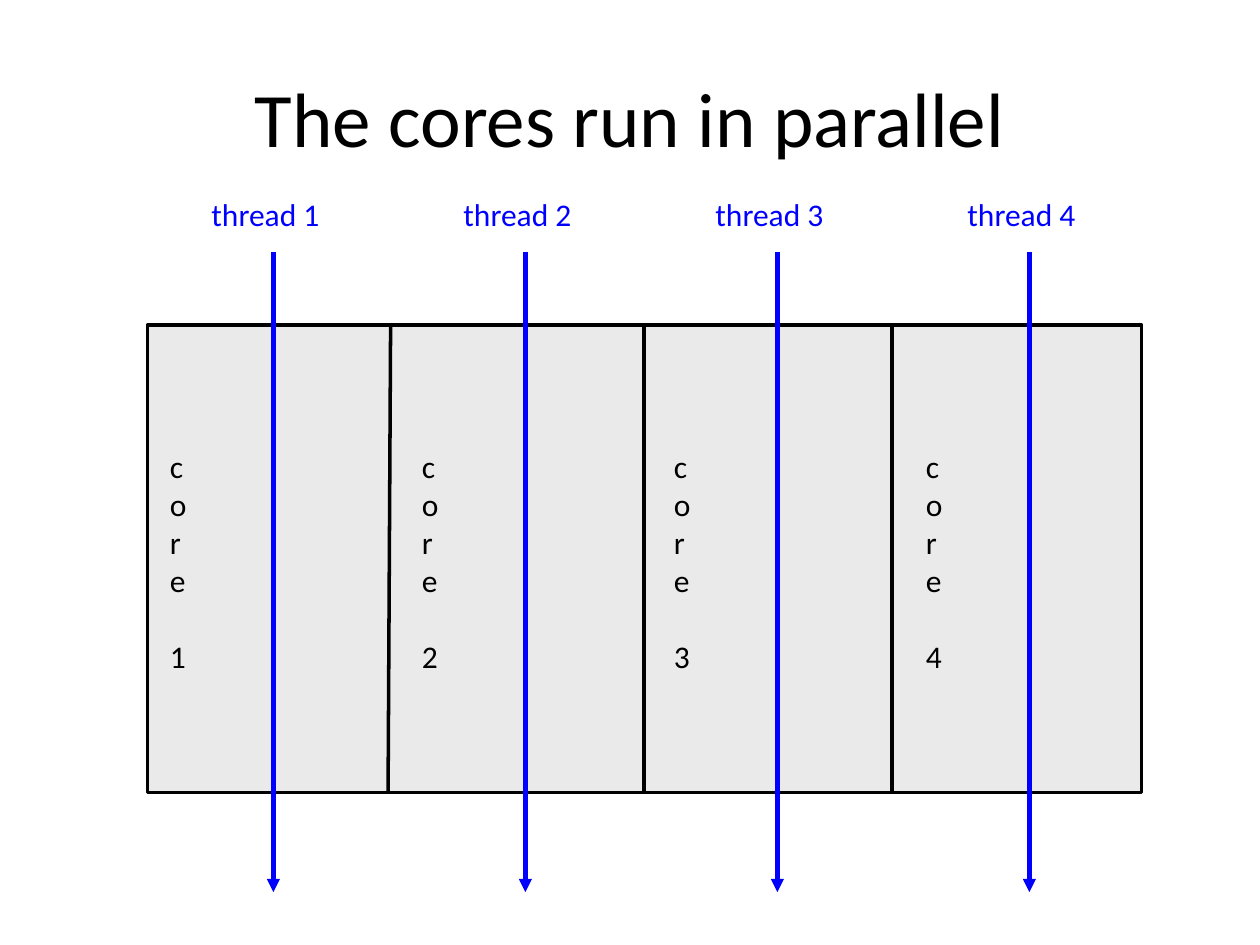
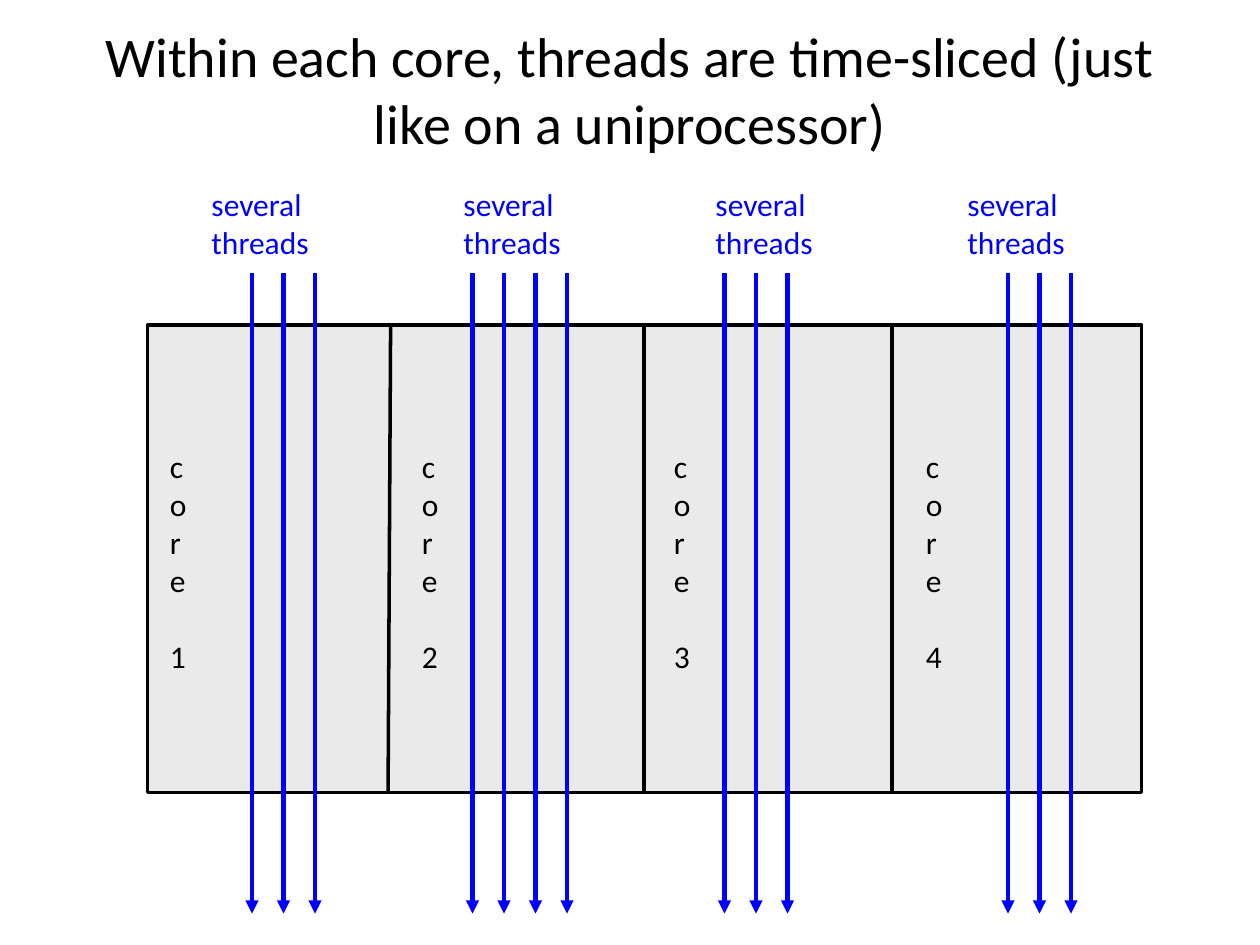
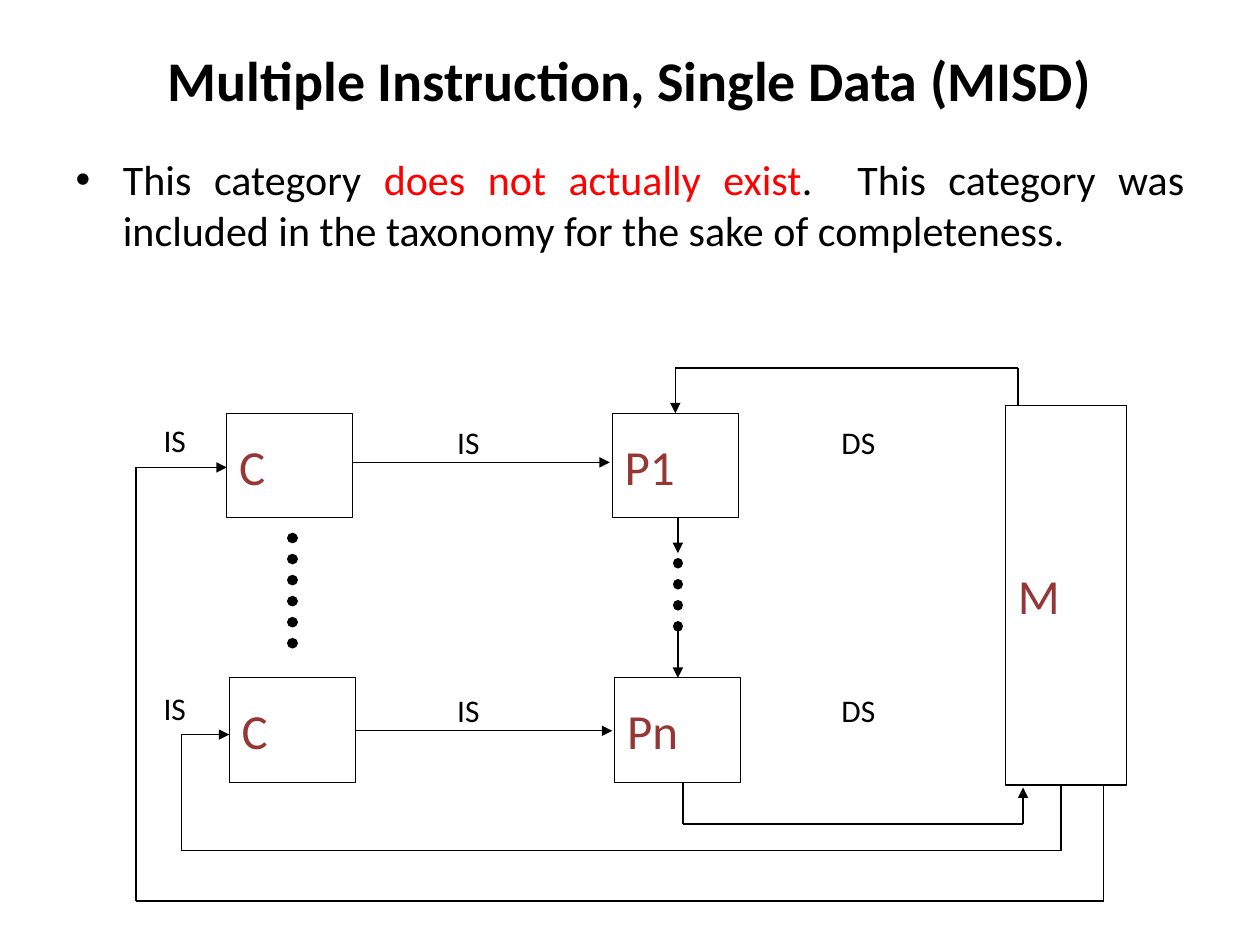
from dataclasses import dataclass
from itertools import pairwise

from lxml.etree import SubElement
from pptx import Presentation
from pptx.dml.color import RGBColor
from pptx.enum.dml import MSO_LINE
from pptx.enum.shapes import MSO_CONNECTOR, MSO_SHAPE
from pptx.enum.text import MSO_ANCHOR, MSO_AUTO_SIZE, PP_ALIGN
from pptx.oxml.ns import qn
from pptx.util import Inches, Pt

BLACK = RGBColor(0x00, 0x00, 0x00)
WHITE = RGBColor(0xFF, 0xFF, 0xFF)
GREY = RGBColor(0xEA, 0xEA, 0xEA)
BLUE = RGBColor(0x00, 0x00, 0xFF)
RED = RGBColor(0xFF, 0x00, 0x00)
BROWN = RGBColor(0x95, 0x37, 0x35)
FONT = "Calibri"

CORES = 4
PITCH = 2.0  # distance from core to core
TOP, BASE = 2.58, 6.29  # edges of the chip

Point = tuple[float, float]


@dataclass(frozen=True)
class Pen:
    color: RGBColor = BLACK
    width: float = 0.75
    arrow: bool = False
    dots: bool = False


@dataclass(frozen=True)
class Box:
    left: float
    top: float
    width: float
    height: float


@dataclass(frozen=True)
class Unit:
    name: str
    box: Box


@dataclass(frozen=True)
class Route:
    points: tuple[Point, ...]
    arrow: bool = True


@dataclass(frozen=True)
class Bundle:
    """Threads that share one core."""
    start: float
    count: int


THIN = Pen()
EDGE = Pen(width=2)
THREAD = Pen(BLUE, 2.5, arrow=True)
DOTS = Pen(width=6, dots=True)

BUNDLES = (Bundle(2, 3), Bundle(3.75, 4), Bundle(5.75, 3), Bundle(8, 3))

UNITS = (
    Unit("C", Box(1.8, 3.28, 1, 0.83)),
    Unit("C", Box(1.82, 5.38, 1, 0.83)),
    Unit("P1", Box(4.86, 3.28, 1, 0.83)),
    Unit("Pn", Box(4.88, 5.38, 1, 0.83)),
    Unit("M", Box(7.98, 3.22, 0.96, 3.01)),
)

ROUTES = (
    Route(((2.8, 3.67), (4.84, 3.67))),
    Route(((2.82, 5.8), (4.86, 5.8))),
    Route(((8.08, 3.22), (8.08, 2.92), (5.36, 2.92), (5.36, 3.28))),
    Route(((5.42, 6.21), (5.42, 6.54), (8.12, 6.54), (8.12, 6.25))),
    Route(((8.42, 6.23), (8.42, 6.75), (1.44, 6.75), (1.44, 5.83), (1.82, 5.83))),
    Route(((8.76, 6.23), (8.76, 7.15), (1.08, 7.15), (1.08, 3.71), (1.8, 3.71))),
    Route(((5.38, 4.11), (5.38, 4.39))),
    Route(((5.38, 4.99), (5.38, 5.38))),
)

STREAMS = (
    Unit("IS", Box(1.2, 3.28, 0.49, 0.43)),
    Unit("IS", Box(1.2, 5.4, 0.49, 0.43)),
    Unit("IS", Box(3.53, 3.29, 0.49, 0.43)),
    Unit("IS", Box(3.53, 5.42, 0.49, 0.43)),
    Unit("DS", Box(6.58, 3.29, 0.64, 0.43)),
    Unit("DS", Box(6.58, 5.42, 0.64, 0.43)),
)


def inches(box: Box) -> tuple:
    return tuple(Inches(n) for n in (box.left, box.top, box.width, box.height))


def place(shape, box: Box) -> None:
    shape.left, shape.top, shape.width, shape.height = inches(box)


def write(para, text: str, size: float, color=BLACK, bold=False) -> None:
    run = para.add_run()
    run.text = text
    font = run.font
    font.name, font.size, font.bold = FONT, Pt(size), bold
    font.color.rgb = color


def new_slide(deck, layout: int, title: str, top: float, size: float, bold=False):
    slide = deck.slides.add_slide(deck.slide_layouts[layout])
    head = slide.shapes.title
    place(head, Box(0.5, top, 9, 1.25))
    frame = head.text_frame
    frame.vertical_anchor = MSO_ANCHOR.MIDDLE
    frame.auto_size = MSO_AUTO_SIZE.NONE
    para = frame.paragraphs[0]
    para.alignment = PP_ALIGN.CENTER
    write(para, title, size, bold=bold)
    return slide


def draw_line(slide, start: Point, end: Point, pen: Pen) -> None:
    ends = [Inches(n) for n in (*start, *end)]
    line = slide.shapes.add_connector(MSO_CONNECTOR.STRAIGHT, *ends)
    line.line.color.rgb = pen.color
    line.line.width = Pt(pen.width)
    props = line.element.spPr
    stroke = props.find(qn("a:ln"))
    if pen.dots:
        line.line.dash_style = MSO_LINE.ROUND_DOT
        stroke.set("cap", "rnd")
    if pen.arrow:
        SubElement(stroke, qn("a:tailEnd"), type="triangle")
    SubElement(props, qn("a:effectLst"))


def draw_box(slide, box: Box, fill: RGBColor, width: float):
    rect = slide.shapes.add_shape(MSO_SHAPE.RECTANGLE, *inches(box))
    rect.shadow.inherit = False
    rect.fill.solid()
    rect.fill.fore_color.rgb = fill
    rect.line.color.rgb = BLACK
    rect.line.width = Pt(width)
    return rect


def add_label(slide, box: Box, lines: list[str], color=BLACK, wrap=False,
              anchor=MSO_ANCHOR.TOP):
    frame = slide.shapes.add_textbox(*inches(box)).text_frame
    frame.word_wrap = wrap
    frame.auto_size = MSO_AUTO_SIZE.SHAPE_TO_FIT_TEXT
    frame.vertical_anchor = anchor
    para = frame.paragraphs[0]
    for i, text in enumerate(lines):
        if i:
            para.add_line_break()
        write(para, text, 18, color)
    return frame


def draw_chip(slide) -> None:
    draw_box(slide, Box(1.17, TOP, 7.89, BASE - TOP), GREY, EDGE.width)
    for high, low in ((3.1, 3.08), (5.11, 5.11), (7.08, 7.08)):
        draw_line(slide, (high, TOP), (low, BASE), EDGE)
    for i in range(CORES):
        box = Box(1.25 + i * PITCH, 3.5, 0.36, 1.9)
        frame = add_label(slide, box, ["core"], wrap=True)
        para = frame.add_paragraph()
        para.space_before = Pt(22)
        write(para, str(i + 1), 18)


def build_cores(deck) -> None:
    slide = new_slide(deck, 5, "The cores run in parallel", 0.3, 44)
    draw_chip(slide)
    for i in range(CORES):
        step = i * PITCH
        draw_line(slide, (2.17 + step, 2), (2.17 + step, 7.08), THREAD)
        add_label(slide, Box(1.58 + step, 1.5, 1.12, 0.4), [f"thread {i + 1}"], BLUE)


def build_slices(deck) -> None:
    title = "Within each core, threads are time-sliced (just like on a uniprocessor)"
    slide = new_slide(deck, 5, title, 0.08, 32)
    draw_chip(slide)
    for i, bundle in enumerate(BUNDLES):
        box = Box(1.58 + i * PITCH, 1.42, 1.08, 0.7)
        add_label(slide, box, ["several", "threads"], BLUE)
        for k in range(bundle.count):
            x = bundle.start + k * 0.25
            draw_line(slide, (x, 2.17), (x, 7.25), THREAD)


def build_misd(deck) -> None:
    title = "Multiple Instruction, Single Data (MISD)"
    slide = new_slide(deck, 1, title, 0, 32, bold=True)

    body = slide.placeholders[1]
    place(body, Box(0.5, 1.17, 9, 1.33))
    body.text_frame.auto_size = MSO_AUTO_SIZE.NONE
    para = body.text_frame.paragraphs[0]
    para.alignment = PP_ALIGN.JUSTIFY
    para.space_before = Pt(0)
    write(para, "This category ", 24)
    write(para, "does not actually exist", 24, RED)
    write(para, ".  This category was included in the taxonomy "
                "for the sake of completeness.", 24)

    for unit in UNITS:
        frame = draw_box(slide, unit.box, WHITE, THIN.width).text_frame
        frame.word_wrap = False
        frame.vertical_anchor = MSO_ANCHOR.MIDDLE
        para = frame.paragraphs[0]
        para.alignment = PP_ALIGN.LEFT
        write(para, unit.name, 28, BROWN)
    draw_line(slide, (2.32, 4.27), (2.32, 5.22), DOTS)
    draw_line(slide, (5.38, 4.47), (5.38, 4.99), DOTS)
    for route in ROUTES:
        for start, end in pairwise(route.points):
            last = end == route.points[-1]
            draw_line(slide, start, end, Pen(arrow=route.arrow and last))
    for unit in STREAMS:
        add_label(slide, unit.box, [unit.name], anchor=MSO_ANCHOR.MIDDLE)


def main() -> None:
    deck = Presentation()
    deck.slide_width, deck.slide_height = Inches(10), Inches(7.5)
    build_cores(deck)
    build_slices(deck)
    build_misd(deck)
    deck.save("out.pptx")


if __name__ == "__main__":
    main()
